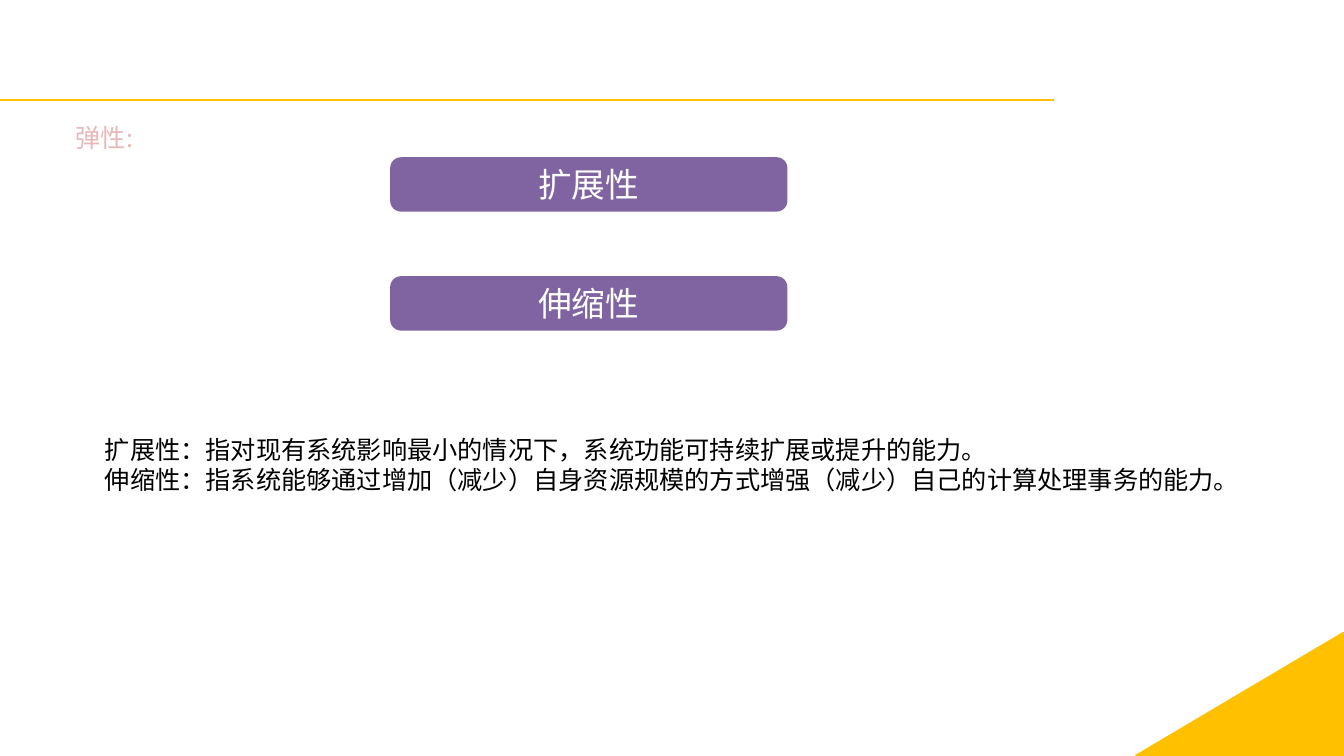
from pptx import Presentation
from pptx.dml.color import RGBColor
from pptx.enum import shapes, text
from pptx.oxml.ns import qn
from pptx.util import Inches, Pt
from lxml import etree

# Content
HEAD = "弹性:"
BARS = ["扩展性", "伸缩性"]
NOTES = [
    "扩展性：指对现有系统影响最小的情况下，系统功能可持续扩展或提升的能力。",
    "伸缩性：指系统能够通过增加（减少）自身资源规模的方式增强（减少）自己的计算处理事务的能力。",
]
GOLD, PURPLE, PINK = "FFC000", "8064A2", "E6B9B8"
CJK = "Noto Sans CJK SC"

# Layout in inches
WIDE, HIGH = 13.33, 7.5
RULE = (10.45, 0.99)
HEAD_BOX = (0.65, 1.16, 0.82, 1)
BAR_BOX, STEP = (3.87, 1.56, 3.94, 0.54), 1.18
NOTE_BOX = (0.94, 4.26, 11.45, 0.7)
WEDGE = (11.69, 5.86, 1.22, 2.06)


def tint(code):
    return RGBColor.from_string(code)


def place(item, box):
    item.left, item.top, item.width, item.height = map(Inches, box)


def style(par, size, font, color, align):
    par.alignment = align
    par.space_before = Pt(0)
    for run in par.runs:
        run.font.size, run.font.name = Pt(size), font
        run.font.color.rgb = tint(color)
        east = etree.SubElement(run.font._element, qn("a:ea"))
        east.set("typeface", CJK)


def draw(slide, kind, box, color):
    item = slide.shapes.add_shape(kind, *map(Inches, box))
    item.shadow.inherit = False
    item.fill.solid()
    item.fill.fore_color.rgb = tint(color)
    item.line.fill.background()
    return item


def fill(item, lines, box, wrap):
    place(item, box)
    frame = item.text_frame
    frame.text = "\n".join(lines)
    frame.word_wrap = wrap
    frame.auto_size = text.MSO_AUTO_SIZE.NONE
    frame.vertical_anchor = text.MSO_ANCHOR.TOP
    return frame.paragraphs


def main():
    deck = Presentation()
    deck.slide_width, deck.slide_height = Inches(WIDE), Inches(HIGH)
    slide = deck.slides.add_slide(deck.slide_layouts[1])
    left = text.PP_ALIGN.LEFT

    # Gold rule and corner wedge
    end, y = map(Inches, RULE)
    rule = slide.shapes.add_connector(shapes.MSO_CONNECTOR.STRAIGHT, 0, y, end, y)
    rule.line.color.rgb, rule.line.width = tint(GOLD), Pt(1.5)
    etree.SubElement(rule._element.spPr, qn("a:effectLst"))
    wedge = draw(slide, shapes.MSO_SHAPE.RIGHT_TRIANGLE, WEDGE, GOLD)
    wedge.rotation = 270
    wedge.line.color.rgb, wedge.line.width = tint(GOLD), Pt(2)

    # Heading
    for par in fill(slide.shapes.title, [HEAD], HEAD_BOX, False):
        style(par, 18, CJK, PINK, left)

    # Purple bars
    x, top, wide, high = BAR_BOX
    for row, name in enumerate(BARS):
        box = (x, top + row * STEP, wide, high)
        bar = draw(slide, shapes.MSO_SHAPE.ROUNDED_RECTANGLE, box, PURPLE)
        bar.adjustments[0] = 0.2
        frame = bar.text_frame
        frame.margin_left = frame.margin_right = 0
        frame.margin_top = frame.margin_bottom = 0
        frame.vertical_anchor = text.MSO_ANCHOR.MIDDLE
        frame.text = name
        style(frame.paragraphs[0], 24, "Arial", "FFFFFF", text.PP_ALIGN.CENTER)

    # Definitions, without bullets
    for par in fill(slide.placeholders[1], NOTES, NOTE_BOX, True):
        style(par, 18, "Calibri", "000000", left)
        props = par._p.get_or_add_pPr()
        props.set("marL", "0")
        props.set("indent", "0")
        etree.SubElement(props, qn("a:buNone"))

    deck.save("out.pptx")


if __name__ == "__main__":
    main()
